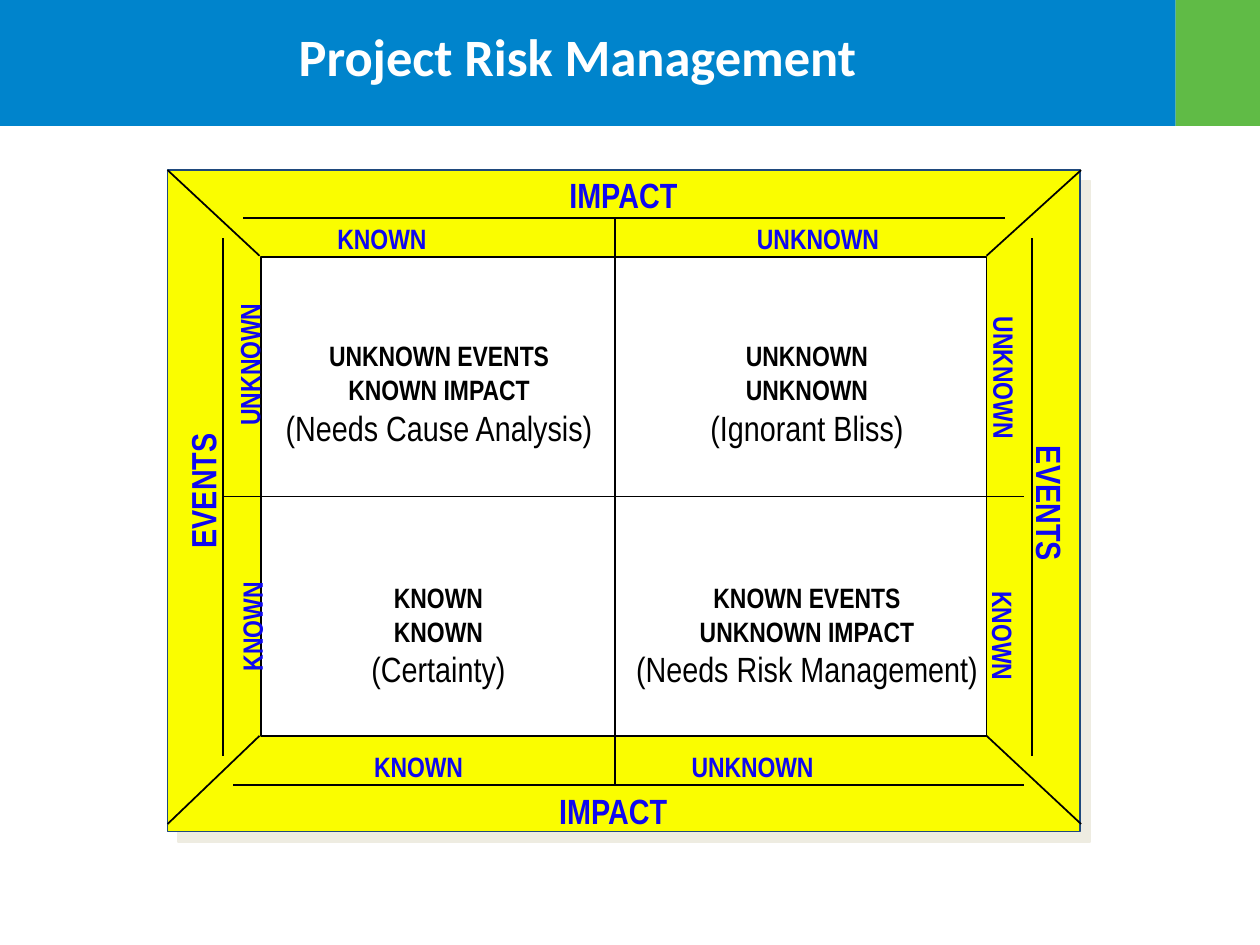
from lxml import etree
from pptx import Presentation
from pptx.dml.color import RGBColor
from pptx.enum.shapes import MSO_CONNECTOR, MSO_SHAPE
from pptx.enum.text import MSO_ANCHOR, MSO_AUTO_SIZE, PP_ALIGN
from pptx.oxml.ns import qn
from pptx.util import Inches, Pt

BLUE = RGBColor(0x00, 0x84, 0xCC)
GREEN = RGBColor(0x60, 0xBB, 0x46)
YELLOW = RGBColor(0xFA, 0xFD, 0x00)
NAVY = RGBColor(0x1F, 0x49, 0x7D)
LABEL_BLUE = RGBColor(0x0F, 0x08, 0xF0)
BLACK = RGBColor(0, 0, 0)
WHITE = RGBColor(0xFF, 0xFF, 0xFF)
SHADOW = RGBColor(0xEE, 0xEC, 0xE1)

LABEL_SIZES = {
    "KNOWN": (0.91, 0.36, 16),
    "UNKNOWN": (1.17, 0.36, 16),
    "EVENTS": (1.11, 0.43, 20),
    "IMPACT": (1.07, 0.43, 20),
}
LABELS = [
    ("IMPACT", 4.42, 1.33, 0),
    ("KNOWN", 2.58, 1.71, 0),
    ("UNKNOWN", 5.91, 1.71, 0),
    ("KNOWN", 2.87, 5.9, 0),
    ("UNKNOWN", 5.39, 5.9, 0),
    ("IMPACT", 4.34, 6.22, 0),
    ("EVENTS", 1.05, 3.68, 270),
    ("UNKNOWN", 1.39, 2.71, 270),
    ("KNOWN", 1.54, 4.79, 270),
    ("EVENTS", 7.78, 3.78, 90),
    ("UNKNOWN", 7.39, 2.82, 90),
    ("KNOWN", 7.51, 4.87, 90),
]
LINES = [
    (1.78, 3.94, 8.13, 3.94),
    (4.88, 1.74, 4.88, 6.22),
    (1.77, 1.89, 1.77, 6),
    (8.19, 1.89, 8.19, 6),
    (1.93, 1.73, 7.98, 1.73),
    (1.85, 6.23, 8.13, 6.23),
    (1.33, 1.35, 2.06, 2.03),
    (1.33, 6.54, 2.06, 5.84),
    (8.58, 1.35, 7.83, 2.03),
    (8.58, 6.54, 7.83, 5.84),
]
QUADRANTS = [
    (2.13, 2.64, 2.71, "UNKNOWN EVENTS", "KNOWN IMPACT", "(Needs Cause Analysis)"),
    (5.51, 2.64, 1.79, "UNKNOWN", "UNKNOWN", "(Ignorant Bliss)"),
    (2.82, 4.56, 1.32, "KNOWN", "KNOWN", "(Certainty)"),
    (4.92, 4.56, 2.97, "KNOWN EVENTS", "UNKNOWN IMPACT", "(Needs Risk Management)"),
]


def add_rect(slide, x, y, w, h, fill, line=None):
    sp = slide.shapes.add_shape(
        MSO_SHAPE.RECTANGLE, Inches(x), Inches(y), Inches(w), Inches(h))
    sp.shadow.inherit = False
    sp.fill.solid()
    sp.fill.fore_color.rgb = fill
    if line is None:
        sp.line.fill.background()
    else:
        sp.line.color.rgb = line
        sp.line.width = Pt(1)
    return sp


def add_hard_shadow(sp, color, distance):
    effects = sp._element.spPr.find(qn("a:effectLst"))
    shadow = etree.SubElement(effects, qn("a:outerShdw"), dist=str(Pt(distance)),
                              dir="2700000", algn="ctr", rotWithShape="0")
    etree.SubElement(shadow, qn("a:srgbClr"), val=str(color))


def add_line(slide, x1, y1, x2, y2):
    line = slide.shapes.add_connector(
        MSO_CONNECTOR.STRAIGHT, Inches(x1), Inches(y1), Inches(x2), Inches(y2))
    line.line.color.rgb = BLACK
    line.line.width = Pt(1)
    etree.SubElement(line._element.spPr, qn("a:effectLst"))


def add_text(slide, x, y, w, h, lines, color, font="Arial Narrow", align=PP_ALIGN.LEFT):
    sp = slide.shapes.add_textbox(Inches(x), Inches(y), Inches(w), Inches(h))
    tf = sp.text_frame
    tf.word_wrap = False
    tf.auto_size = MSO_AUTO_SIZE.SHAPE_TO_FIT_TEXT
    for i, (text, size, bold) in enumerate(lines):
        p = tf.add_paragraph() if i else tf.paragraphs[0]
        p.text = text
        p.alignment = align
        p.font.name = font
        p.font.size = Pt(size)
        p.font.bold = bold
        p.font.color.rgb = color
    return sp


def add_title(slide, text):
    sp = add_text(slide, 0, 0, 9.17, 0.88, [(text, 30, True)], WHITE,
                  "Calibri", PP_ALIGN.CENTER)
    tf = sp.text_frame
    tf.word_wrap = True
    tf.auto_size = MSO_AUTO_SIZE.NONE
    tf.vertical_anchor = MSO_ANCHOR.MIDDLE


def add_label(slide, text, x, y, rotation):
    w, h, size = LABEL_SIZES[text]
    sp = add_text(slide, x, y, w, h, [(text, size, True)], LABEL_BLUE)
    sp.rotation = rotation


def add_quadrant(slide, x, y, w, events, impact, note):
    lines = [(events, 16, True), (impact, 16, True), (note, 20, False)]
    add_text(slide, x, y, w, 0.96, lines, BLACK, align=PP_ALIGN.CENTER)


def main():
    prs = Presentation()
    prs.slide_width = Inches(10)
    prs.slide_height = Inches(7.5)
    slide = prs.slides.add_slide(prs.slide_layouts[6])

    add_rect(slide, -0.01, 0, 9.34, 1, BLUE)
    add_rect(slide, 9.33, 0, 0.67, 1, GREEN)
    add_title(slide, "Project Risk Management")

    frame = add_rect(slide, 1.33, 1.35, 7.24, 5.25, YELLOW, NAVY)
    add_hard_shadow(frame, SHADOW, 8.5)
    add_rect(slide, 2.07, 2.04, 5.76, 3.8, WHITE, BLACK)

    for line in LINES:
        add_line(slide, *line)
    for label in LABELS:
        add_label(slide, *label)
    for quadrant in QUADRANTS:
        add_quadrant(slide, *quadrant)

    prs.save("out.pptx")


if __name__ == "__main__":
    main()
